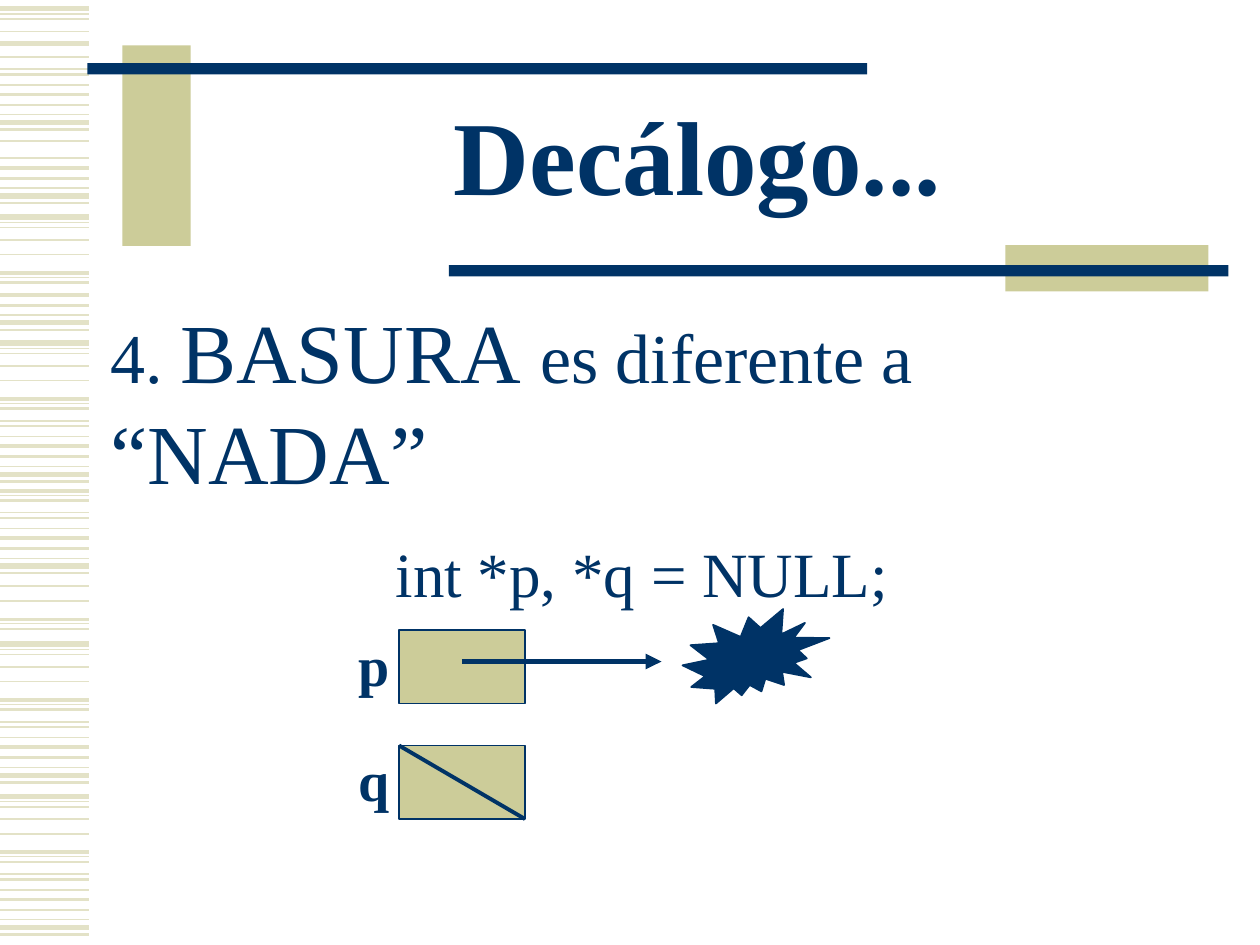
from lxml.etree import SubElement
from pptx import Presentation
from pptx.dml.color import RGBColor
from pptx.enum.shapes import MSO_CONNECTOR, MSO_SHAPE
from pptx.enum.text import MSO_ANCHOR, PP_ALIGN
from pptx.oxml.ns import qn
from pptx.util import Pt

NAVY, KHAKI, PALE = "003366", "CCCC99", "E3E2C7"
FONT = "Times New Roman"

# Stripe motif: (offset from its start, line weight)
MOTIF = [(0, 3), (3, 0.75), (6, 1), (13, 1), (21.5, 1), (32, 2.25),
         (34.5, 0.75), (37.5, 1.5), (44.5, 0.75), (47.5, 1.5), (53.5, 1),
         (59, 2.25), (65, 1.5), (70.5, 0.75), (75, 3), (79, 1.5)]
# Each band shows a part of the motif: (start, first stripe, end stripe)
BANDS = [(5, 0, 4), (25, 0, 1), (-5, 7, 16), (59, 4, 5), (37, 10, 16),
         (124, 0, 8), (109.5, 11, 16), (196, 0, 16), (248.5, 5, 16),
         (322, 3, 8), (368, 0, 16), (455, 0, 16)]


def color(value):
    return RGBColor.from_string(value)


def add_block(slide, kind, box, fill, outline=None):
    block = slide.shapes.add_shape(kind, *map(Pt, box))
    block.shadow.inherit = False
    block.fill.solid()
    block.fill.fore_color.rgb = color(fill)
    if outline:
        block.line.color.rgb = color(outline)
        block.line.width = Pt(1)
    else:
        block.line.fill.background()


def add_line(slide, start, end, stroke, weight, arrow=False):
    line = slide.shapes.add_connector(MSO_CONNECTOR.STRAIGHT, *map(Pt, start + end))
    line.line.color.rgb = color(stroke)
    line.line.width = Pt(weight)
    if arrow:
        SubElement(line.line._get_or_add_ln(), qn("a:tailEnd"), type="triangle")
    SubElement(line._element.spPr, qn("a:effectLst"))


def add_text(slide, box, runs, bold=False, wrap=False):
    """Place one paragraph made of (text, size) runs."""
    frame = slide.shapes.add_textbox(*map(Pt, box)).text_frame
    frame.word_wrap = wrap
    paragraph = frame.paragraphs[0]
    paragraph.font.name = FONT
    paragraph.font.bold = bold
    paragraph.font.color.rgb = color(NAVY)
    for text, size in runs:
        run = paragraph.add_run()
        run.text = text
        if len(runs) > 1:
            run.font.size = Pt(size)
        else:
            paragraph.font.size = Pt(size)
    return frame


def add_stripes(slide, left, top, width):
    for start, first, end in BANDS:
        for offset, weight in MOTIF[first:end]:
            y = top + start + offset
            add_line(slide, (left, y), (left + width, y), PALE, weight)


def add_header(slide, left, top, width, height):
    # Khaki blocks, each crossed by a navy bar
    bar_width, bar_height = 445.5, 6.5
    add_block(slide, MSO_SHAPE.RECTANGLE, (left + 20, top, 39, 114.5), KHAKI)
    add_block(slide, MSO_SHAPE.RECTANGLE, (left, top + 10, bar_width, bar_height), NAVY)
    add_block(slide, MSO_SHAPE.RECTANGLE,
              (left + width - 127.5, top + height - 26.5, 116, 26.5), KHAKI)
    add_block(slide, MSO_SHAPE.RECTANGLE,
              (left + width - bar_width, top + height - 15, bar_width, bar_height), NAVY)

    title = add_text(slide, (left + 58, top + 22.5, 581, 90),
                     [("Decálogo...", 60)], bold=True, wrap=True)
    title.vertical_anchor = MSO_ANCHOR.MIDDLE
    title.paragraphs[0].alignment = PP_ALIGN.CENTER
    title.paragraphs[0].line_spacing = 0.85


def add_statement(slide, left, top, width):
    add_text(slide, (left, top, width, 63),
             [("4. ", 40), ("BASURA", 48), (" ", 44),
              ("es diferente a", 40), (" “NADA”", 48)])
    add_text(slide, (left + 163, top + 134.5, 300, 50),
             [("int *p, *q = NULL;", 36)])


def add_pointers(slide, left, top):
    cell_left, cell_width, cell_height, pitch = left + 30, 72, 42, 66
    for row, name in enumerate("pq"):
        y = top + row * pitch
        add_block(slide, MSO_SHAPE.RECTANGLE,
                  (cell_left, y, cell_width, cell_height), KHAKI, NAVY)
        add_text(slide, (left, y - 3.5, 32.5, 46), [(name, 32)], bold=True)

    # p points to garbage
    middle = cell_left + cell_width / 2
    add_line(slide, (middle, top + 18), (middle + 114, top + 18), NAVY, 3, arrow=True)
    add_block(slide, MSO_SHAPE.EXPLOSION2, (left + 192, top - 12, 84, 54), NAVY, NAVY)

    # q is null
    add_line(slide, (cell_left, top + pitch),
             (cell_left + cell_width, top + pitch + cell_height), NAVY, 2.25)


def main():
    deck = Presentation()
    deck.slide_width, deck.slide_height = Pt(720), Pt(540)
    slide = deck.slides.add_slide(deck.slide_layouts[6])
    add_stripes(slide, 0, 0, 51)
    add_header(slide, 50, 26, 652, 140.5)
    add_statement(slide, 56, 167.5, 664)
    add_pointers(slide, 198, 360)
    deck.save("out.pptx")


if __name__ == "__main__":
    main()
